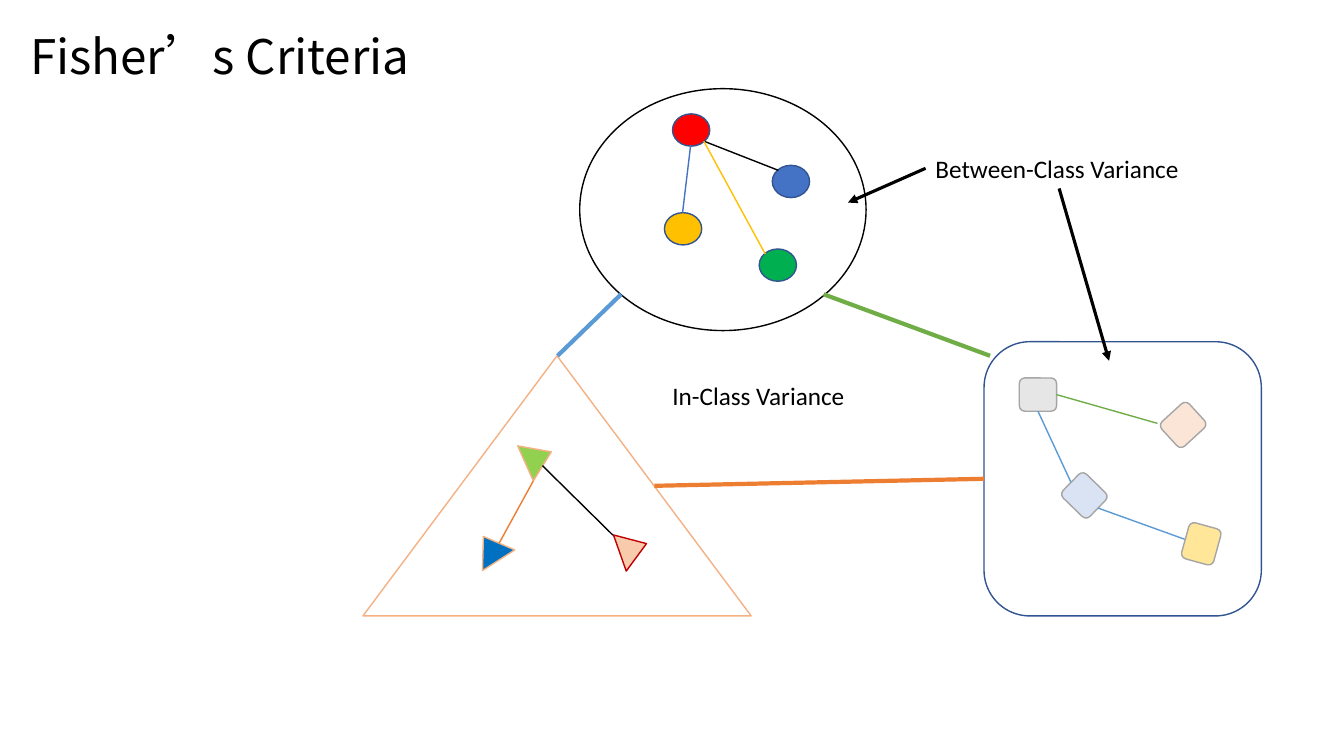
from dataclasses import dataclass
from typing import Optional

from lxml.etree import SubElement
from pptx import Presentation
from pptx.dml.color import RGBColor
from pptx.enum.shapes import MSO_CONNECTOR, MSO_SHAPE
from pptx.enum.text import MSO_ANCHOR, MSO_AUTO_SIZE
from pptx.oxml.ns import qn
from pptx.util import Inches, Pt

BLACK = RGBColor(0x00, 0x00, 0x00)
NAVY = RGBColor(0x32, 0x54, 0x91)
RED = RGBColor(0xFF, 0x00, 0x00)
GOLD = RGBColor(0xFF, 0xC0, 0x00)
EMERALD = RGBColor(0x00, 0xB0, 0x50)
BLUE = RGBColor(0x44, 0x72, 0xC4)
PEACH = RGBColor(0xF4, 0xB1, 0x83)
LIME = RGBColor(0x92, 0xD0, 0x50)
OCEAN = RGBColor(0x00, 0x70, 0xC0)
SALMON = RGBColor(0xF8, 0xCB, 0xAD)
CRIMSON = RGBColor(0xC0, 0x00, 0x00)
ORANGE = RGBColor(0xED, 0x7D, 0x31)
GRAY = RGBColor(0xA5, 0xA5, 0xA5)
PALE_GRAY = RGBColor(0xE7, 0xE6, 0xE6)
PALE_BLUE = RGBColor(0xDA, 0xE3, 0xF3)
PALE_ORANGE = RGBColor(0xFB, 0xE5, 0xD6)
PALE_GOLD = RGBColor(0xFF, 0xE6, 0x99)
SKY = RGBColor(0x5B, 0x9B, 0xD5)
GREEN = RGBColor(0x70, 0xAD, 0x47)

TITLE_FONT = "Noto Sans CJK SC"
LABEL_FONT = "Calibri"
TOP, LEFT, BOTTOM, RIGHT = range(4)


@dataclass
class Sample:
    left: float
    top: float
    fill: RGBColor
    outline: RGBColor
    rotation: float = 0


@dataclass
class SampleClass:
    name: str
    kind: MSO_SHAPE
    frame: tuple[float, float, float, float]
    outline: RGBColor
    sample_size: tuple[float, float]
    samples: list[Sample]


@dataclass
class Link:
    """A line; begin_at and end_at name a shape and the side to join."""
    begin: tuple[float, float]
    end: tuple[float, float]
    color: RGBColor
    width: float = 1
    arrow: bool = False
    begin_at: Optional[tuple[str, int]] = None
    end_at: Optional[tuple[str, int]] = None


CLASSES = [
    SampleClass("circles", MSO_SHAPE.OVAL, (5.75, 0.88, 2.84, 2.4), BLACK, (0.37, 0.32), [
        Sample(6.67, 1.13, RED, NAVY),
        Sample(6.59, 2.11, GOLD, NAVY),
        Sample(7.53, 2.47, EMERALD, NAVY),
        Sample(7.66, 1.64, BLUE, NAVY),
    ]),
    SampleClass("triangles", MSO_SHAPE.ISOSCELES_TRIANGLE, (3.6, 3.53, 3.85, 2.58), PEACH,
                (0.38, 0.28), [
        Sample(5.15, 4.4, LIME, PEACH, 65.9),
        Sample(4.68, 5.3, OCEAN, PEACH, 327.4),
        Sample(6.09, 5.3, SALMON, CRIMSON, 70.6),
    ]),
    SampleClass("squares", MSO_SHAPE.ROUNDED_RECTANGLE, (9.76, 3.39, 2.75, 2.72), NAVY,
                (0.37, 0.33), [
        Sample(10.11, 3.75, PALE_GRAY, GRAY),
        Sample(10.57, 4.75, PALE_BLUE, GRAY, 44.2),
        Sample(11.55, 4.05, PALE_ORANGE, GRAY, 317.5),
        Sample(11.73, 5.23, PALE_GOLD, GRAY, 285.4),
    ]),
]

LABELS = {
    "Between-Class Variance": (9.18, 1.47, 2.65, 0.4),
    "In-Class Variance": (6.57, 3.72, 2.01, 0.4),
}

LINKS = [
    Link((6.98, 1.4), (7.72, 1.69), BLACK),
    Link((6.85, 1.44), (6.77, 2.11), BLUE),
    Link((6.98, 1.4), (7.59, 2.52), GOLD),
    Link((5.38, 4.62), (6.08, 5.31), BLACK),
    Link((5.29, 4.77), (4.95, 5.39), ORANGE),
    Link((10.29, 4.08), (10.62, 4.78), SKY, begin_at=("squares 0", BOTTOM)),
    Link((10.48, 3.92), (11.48, 4.2), GREEN, begin_at=("squares 0", RIGHT)),
    Link((10.89, 5.04), (11.75, 5.35), SKY),
    Link((5.53, 3.53), (6.16, 2.92), SKY, 3),
    Link((8.17, 2.92), (9.82, 3.53), GREEN, 3),
    Link((6.49, 4.82), (9.76, 4.75), ORANGE, 3, end_at=("squares", LEFT)),
    Link((9.18, 1.67), (8.41, 2.01), BLACK, 2.25, True,
         begin_at=("Between-Class Variance", LEFT)),
    Link((10.51, 1.87), (11, 3.58), BLACK, 2.25, True,
         begin_at=("Between-Class Variance", BOTTOM)),
]


def add_outline(page, kind: MSO_SHAPE, frame: tuple, outline: RGBColor,
                fill: Optional[RGBColor] = None, rotation: float = 0):
    shape = page.shapes.add_shape(kind, *map(Inches, frame))
    shape.shadow.inherit = False
    shape.rotation = rotation
    shape.line.color.rgb = outline
    shape.line.width = Pt(1)
    if fill is None:
        shape.fill.background()
    else:
        shape.fill.solid()
        shape.fill.fore_color.rgb = fill
    return shape


def add_class(page, group: SampleClass, joints: dict) -> None:
    joints[group.name] = add_outline(page, group.kind, group.frame, group.outline)
    for index, sample in enumerate(group.samples):
        frame = (sample.left, sample.top, *group.sample_size)
        joints[f"{group.name} {index}"] = add_outline(
            page, group.kind, frame, sample.outline, sample.fill, sample.rotation)


def add_text(page, text: str, frame: tuple, font_name: str, size: float):
    box = page.shapes.add_textbox(*map(Inches, frame))
    box.text_frame.word_wrap = True
    box.text_frame.text = text
    span = box.text_frame.paragraphs[0].runs[0]
    span.font.name = font_name
    span.font.size = Pt(size)
    span.font.color.rgb = BLACK
    return box


def add_title(page) -> None:
    box = add_text(page, "Fisher’s Criteria", (0.2, 0.15, 12.77, 0.88), TITLE_FONT, 34)
    box.text_frame.vertical_anchor = MSO_ANCHOR.MIDDLE
    para = box.text_frame.paragraphs[0]
    para.line_spacing = 0.9
    properties = para.runs[0].font._element
    properties.set("lang", "zh-CN")
    SubElement(properties, qn("a:ea")).set("typeface", TITLE_FONT)


def add_link(page, link: Link, joints: dict) -> None:
    connector = page.shapes.add_connector(
        MSO_CONNECTOR.STRAIGHT, *map(Inches, (*link.begin, *link.end)))
    if link.begin_at:
        name, side = link.begin_at
        connector.begin_connect(joints[name], side)
    if link.end_at:
        name, side = link.end_at
        connector.end_connect(joints[name], side)
    connector.line.color.rgb = link.color
    connector.line.width = Pt(link.width)
    if link.arrow:
        SubElement(connector.line._get_or_add_ln(), qn("a:tailEnd")).set("type", "triangle")
    SubElement(connector._element.spPr, qn("a:effectLst"))


def main() -> None:
    deck = Presentation()
    deck.slide_width, deck.slide_height = Inches(13.33), Inches(7.5)
    page = deck.slides.add_slide(deck.slide_layouts[6])
    joints = {}
    add_title(page)
    for group in CLASSES:
        add_class(page, group, joints)
    for text, frame in LABELS.items():
        label = add_text(page, text, frame, LABEL_FONT, 18)
        label.text_frame.auto_size = MSO_AUTO_SIZE.SHAPE_TO_FIT_TEXT
        joints[text] = label
    for link in LINKS:
        add_link(page, link, joints)
    deck.save("out.pptx")


if __name__ == "__main__":
    main()
